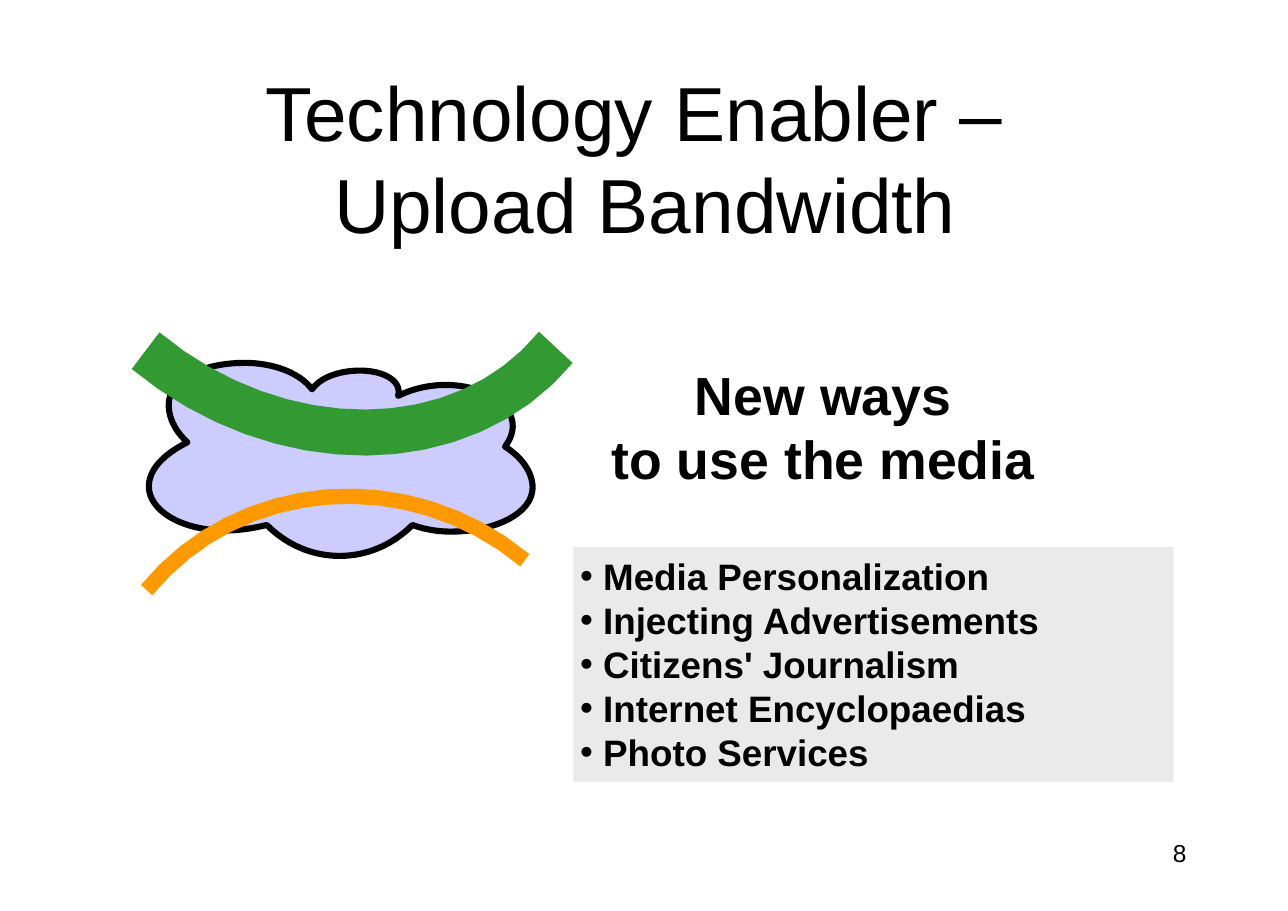
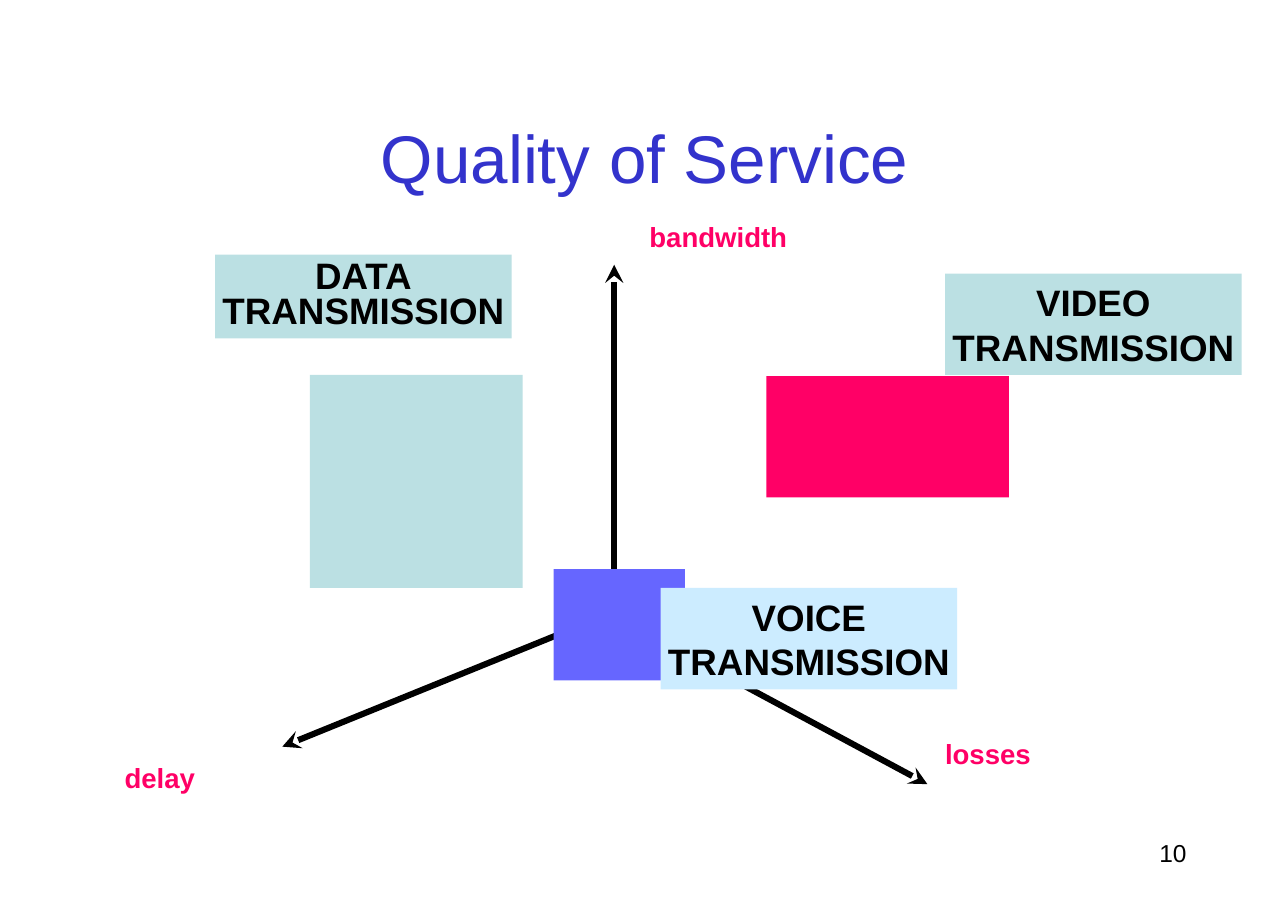
"""Builds two slides on upload bandwidth and quality of service."""
from lxml import etree
from pptx import Presentation, util as u
from pptx.dml.color import RGBColor
from pptx.enum import shapes, text
from pptx.oxml.ns import qn

PX = 9144
HUE = {
    "ink": "000000", "cloud": "CCCCFF", "green": "339933", "gold": "FF9900",
    "grey": "EAEAEA", "navy": "3333CC", "pink": "FF0066", "blue": "6666FF",
    "sky": "CCECFF", "teal": "BBE0E3",
}
MID = text.PP_ALIGN.CENTER
END = text.PP_ALIGN.RIGHT
TITLE = (88, 73, 994, 138)
PAGE = (1044, 754, 38, 36)

NEWS = {
    "title": "Technology Enabler – \nUpload Bandwidth",
    "lead": ((547, 322, 399, 129), "New ways\vto use the media"),
    "list": ((520, 496, 544, 213), [
        "Media Personalization", "Injecting Advertisements",
        "Citizens' Journalism", "Internet Encyclopaedias", "Photo Services"]),
}
CLOUD = ((170, 401), [
    ((160, 392), (153, 380), (153, 367)),
    ((153, 345), (182, 329), (222, 329)),
    ((246, 329), (271, 337), (283, 353)),
    ((290, 343), (306, 336), (327, 336)),
    ((347, 336), (365, 345), (361, 359)),
    ((373, 353), (388, 349), (404, 349)),
    ((437, 349), (465, 365), (465, 386)),
    ((465, 392), (463, 398), (458, 405)),
    ((474, 415), (483, 429), (483, 442)),
    ((483, 465), (450, 482), (409, 482)),
    ((397, 482), (385, 480), (374, 476)),
    ((356, 494), (333, 504), (308, 504)),
    ((283, 504), (260, 494), (242, 476)),
    ((229, 479), (217, 481), (204, 481)),
    ((165, 481), (135, 463), (135, 441)),
    ((135, 426), (148, 412), (170, 401)),
])
ARCS = [
    ((132, 318), [((253, 418), (420, 417), (504, 315))], "green", 30),
    ((476, 508), [((371, 421), (217, 433), (133, 535))], "gold", 10),
]

AXES = [
    ((557, 561), (557, 240)),
    ((558, 559), (841, 711)),
    ((554, 556), (256, 677)),
]
NAMES = [
    ((583, 193, 140, 41), "bandwidth"),
    ((107, 684, 83, 41), "delay"),
    ((851, 662, 101, 41), "losses"),
]
AREAS = [
    ((502, 516, 119, 101), "blue", "", 1),
    ((695, 341, 220, 110), "pink", "", 1),
    ((599, 533, 269, 92), "sky", "VOICE\vTRANSMISSION", 1),
    ((857, 248, 269, 92), "teal", "VIDEO\vTRANSMISSION", 1),
    ((195, 231, 269, 76), "teal", "DATA\vTRANSMISSION", 0.8),
    ((281, 340, 193, 193), "teal", "", 1),
]


def rgb(hue):
    return RGBColor.from_string(HUE[hue])


def emu(vals):
    return [u.Emu(round(v * PX)) for v in vals]


def paint(item, hue):
    item.fill.solid()
    item.fill.fore_color.rgb = rgb(hue)


def write(item, words, size, hue="ink", bold=False, align=None,
          gap=None, anchor=text.MSO_ANCHOR.TOP):
    frame = item.text_frame
    inset = u.Emu(6 * PX)
    look = {"word_wrap": True, "auto_size": text.MSO_AUTO_SIZE.NONE,
            "vertical_anchor": anchor, "text": words}
    look.update({f"margin_{s}": inset for s in ("left", "top", "right", "bottom")})
    for key, val in look.items():
        setattr(frame, key, val)
    face = {"name": "Arial", "size": u.Pt(size), "bold": bold}
    for para in frame.paragraphs:
        para.alignment = align or text.PP_ALIGN.LEFT
        para.space_before = u.Pt(0)
        if gap:
            para.line_spacing = gap
        for run in para.runs:
            for key, val in face.items():
                setattr(run.font, key, val)
            run.font.color.rgb = rgb(hue)


def place(item, box):
    for key, val in zip(("left", "top", "width", "height"), emu(box)):
        setattr(item, key, val)


def label(page, box, words, size, **look):
    write(page.shapes.add_textbox(*emu(box)), words, size, **look)


def bullet(para, step):
    props = para._p.get_or_add_pPr()
    props.set("marL", str(step * PX))
    props.set("indent", str(-step * PX))
    etree.SubElement(props, qn("a:buFont"), typeface="Arial")
    etree.SubElement(props, qn("a:buChar"), char="•")


def trace(start, curves, steps=16):
    dots = [start]
    for b, c, d in curves:
        a = dots[-1]
        for n in range(1, steps + 1):
            t = n / steps
            s = 1 - t
            dots.append(tuple(
                s**3 * i + 3 * s * s * t * j + 3 * s * t * t * k + t**3 * m
                for i, j, k, m in zip(a, b, c, d)))
    return [tuple(emu(dot)) for dot in dots]


def draw(page, start, curves, line, width, fill=None):
    dots = trace(start, curves)
    pen = page.shapes.build_freeform(*dots[0])
    pen.add_line_segments(dots[1:], close=bool(fill))
    form = pen.convert_to_shape()
    form.shadow.inherit = False
    if fill:
        paint(form, fill)
    else:
        form.fill.background()
    form.line.color.rgb = rgb(line)
    form.line.width = u.Pt(width)


def arrow(page, start, end):
    line = page.shapes.add_connector(
        shapes.MSO_CONNECTOR.STRAIGHT, *emu(start + end))
    line.line.color.rgb = rgb("ink")
    line.line.width = u.Pt(4)
    etree.SubElement(line.line._get_or_add_ln(), qn("a:tailEnd"), type="stealth")
    etree.SubElement(line._element.spPr, qn("a:effectLst"))


def area(page, box, hue, words, gap):
    rect = page.shapes.add_shape(shapes.MSO_SHAPE.RECTANGLE, *emu(box))
    rect.shadow.inherit = False
    paint(rect, hue)
    rect.line.fill.background()
    if words:
        write(rect, words, 24, bold=True, align=MID, gap=gap)


def start(deck, kind, words, size, hue, number):
    page = deck.slides.add_slide(deck.slide_layouts[kind])
    place(page.shapes.title, TITLE)
    write(page.shapes.title, words, size, hue, align=MID,
          anchor=text.MSO_ANCHOR.MIDDLE)
    label(page, PAGE, number, 16, align=END)
    return page


def media(deck):
    page = start(deck, 1, NEWS["title"], 50, "ink", "8")
    draw(page, *CLOUD, "ink", 4, "cloud")
    for arc in ARCS:
        draw(page, *arc)
    box, items = NEWS["list"]
    body = page.placeholders[1]
    place(body, box)
    paint(body, "grey")
    write(body, "\n".join(items), 24, bold=True)
    for para in body.text_frame.paragraphs:
        bullet(para, 21)
    label(page, *NEWS["lead"], 35, bold=True, align=MID)


def service(deck):
    page = start(deck, 5, "Quality of Service", 44, "navy", "10")
    for axis in AXES:
        arrow(page, *axis)
    for box, words in NAMES:
        label(page, box, words, 18, hue="pink", bold=True)
    for item in AREAS:
        area(page, *item)


def main():
    deck = Presentation()
    deck.slide_width, deck.slide_height = emu((1168, 826))
    media(deck)
    service(deck)
    deck.save("out.pptx")


if __name__ == "__main__":
    main()
